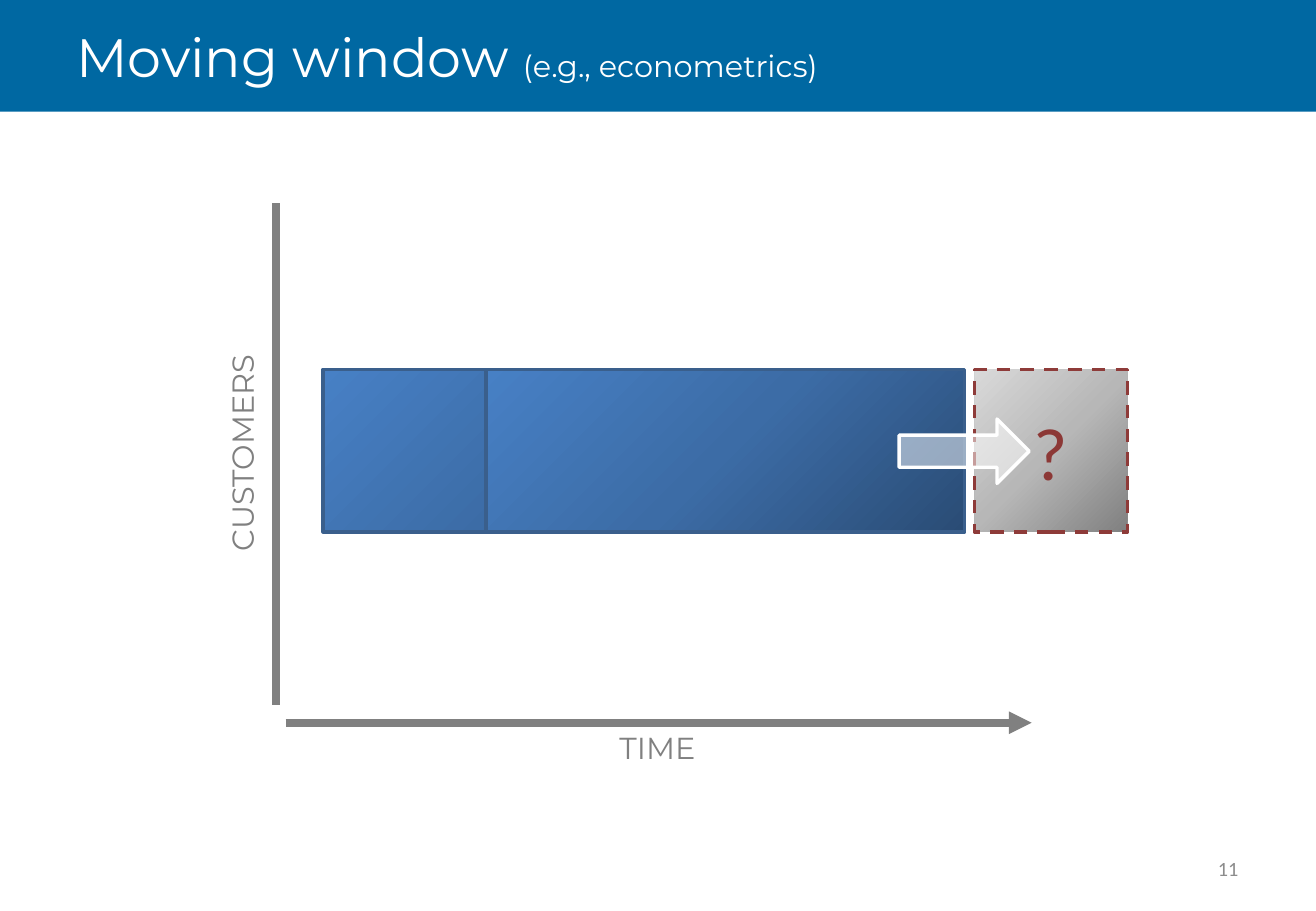
from copy import deepcopy

from pptx import Presentation
from pptx.dml.color import RGBColor
from pptx.enum.dml import MSO_LINE
from pptx.enum.shapes import MSO_CONNECTOR, MSO_SHAPE
from pptx.enum.text import MSO_ANCHOR, PP_ALIGN
from pptx.oxml.ns import qn
from pptx.util import Inches, Pt

RECTANGLE, ARROW = MSO_SHAPE.RECTANGLE, MSO_SHAPE.RIGHT_ARROW
STRAIGHT, DASH = MSO_CONNECTOR.STRAIGHT, MSO_LINE.DASH
TOP, MIDDLE = MSO_ANCHOR.TOP, MSO_ANCHOR.MIDDLE
LEFT, CENTER, RIGHT = PP_ALIGN.LEFT, PP_ALIGN.CENTER, PP_ALIGN.RIGHT

COLORS = {
    "banner": "0068A2",
    "white": "FFFFFF",
    "axis": "808080",
    "number": "8C8C8C",
    "window_line": "3A5F8C",
    "target_line": "8E3B39",
    "question": "8C3836",
}
WINDOW_GRADIENT = ("2A4C75", "3C6CA6", "4780C5")
TARGET_GRADIENT = ("808080", "B7B7B7", "D9D9D9")


class WindowSlide:
    """Draws styled elements on the current slide."""

    def __init__(self, page, font="Montserrat"):
        self.page = page
        self.font = font

    def color(self, name):
        return RGBColor.from_string(COLORS[name])

    def shape(self, kind, place, fill=None, gradient=None, alpha=None, line=None, dash=None):
        shape = self.page.shapes.add_shape(kind, *map(Inches, place))
        shape.shadow.inherit = False
        if gradient:
            self.gradient(shape, gradient)
        else:
            shape.fill.solid()
            shape.fill.fore_color.rgb = self.color(fill)
        if alpha:
            tint = shape._element.spPr.find(qn("a:solidFill"))[0]
            tint.append(tint.makeelement(qn("a:alpha"), {"val": str(alpha * 1000)}))
        if line:
            shape.line.color.rgb = self.color(line)
            shape.line.width = Pt(2)
            if dash:
                shape.line.dash_style = dash
        else:
            shape.line.fill.background()
        return shape

    def gradient(self, shape, colors):
        shape.fill.gradient()
        shape.fill.gradient_angle = 135
        stop_list = shape._element.spPr.find(qn("a:gradFill")).find(qn("a:gsLst"))
        stop_list.append(deepcopy(stop_list[0]))
        for index, (stop, value) in enumerate(zip(shape.fill.gradient_stops, colors)):
            stop.position = index / 2
            stop.color.rgb = RGBColor.from_string(value)

    def axis(self, start, end, arrow=False):
        line = self.page.shapes.add_connector(STRAIGHT, *map(Inches, start + end))
        line.line.color.rgb = self.color("axis")
        line.line.width = Pt(4.5)
        properties = line._element.spPr
        if arrow:
            outline = properties.find(qn("a:ln"))
            outline.append(outline.makeelement(qn("a:tailEnd"), {"type": "triangle"}))
        properties.append(properties.makeelement(qn("a:effectLst")))

    def text(self, place, *spans, rotation=0, **style):
        box = self.page.shapes.add_textbox(*map(Inches, place))
        box.rotation = rotation
        self.label(box, *spans, **style)

    def label(self, box, *spans, color="axis", font=None, align=LEFT, anchor=TOP, wrap=True):
        frame = box.text_frame
        frame.word_wrap = wrap
        frame.vertical_anchor = anchor
        para = frame.paragraphs[0]
        para.alignment = align
        for text, size in spans:
            span = para.add_run()
            span.text = text
            span.font.name = font or self.font
            span.font.size = Pt(size)
            span.font.color.rgb = self.color(color)


def main():
    deck = Presentation()
    deck.slide_width, deck.slide_height = Inches(10.83), Inches(7.5)
    slide = WindowSlide(deck.slides.add_slide(deck.slide_layouts[6]))

    slide.shape(RECTANGLE, (0, 0, 10.83, 0.92), fill="banner")
    slide.text((0.53, 0, 9.75, 0.92), ("Moving window ", 32), ("(e.g., econometrics)", 18),
               color="white", anchor=MIDDLE)

    row_top, row_height = 3.04, 1.34
    for left in (2.66, 4):
        slide.shape(RECTANGLE, (left, row_top, 3.94, row_height),
                    gradient=WINDOW_GRADIENT, line="window_line")

    slide.axis((2.35, 5.95), (8.49, 5.95), arrow=True)
    slide.axis((2.27, 5.8), (2.27, 1.67))
    slide.text((5, 5.95, 0.84, 0.4), ("TIME", 18), wrap=False)
    slide.text((1.07, 3.53, 1.84, 0.4), ("CUSTOMERS", 18), rotation=270, align=CENTER, wrap=False)

    target = slide.shape(RECTANGLE, (8.02, row_top, 1.26, row_height),
                         gradient=TARGET_GRADIENT, line="target_line", dash=DASH)
    slide.label(target, ("?", 44), color="question", font="Calibri", align=CENTER, anchor=MIDDLE)
    slide.shape(ARROW, (7.4, 3.45, 1.07, 0.53), fill="white", alpha=50, line="white")

    slide.text((7.76, 6.95, 2.53, 0.4), ("11", 12),
               color="number", font="Calibri", align=RIGHT, anchor=MIDDLE)
    deck.save("out.pptx")


if __name__ == "__main__":
    main()
